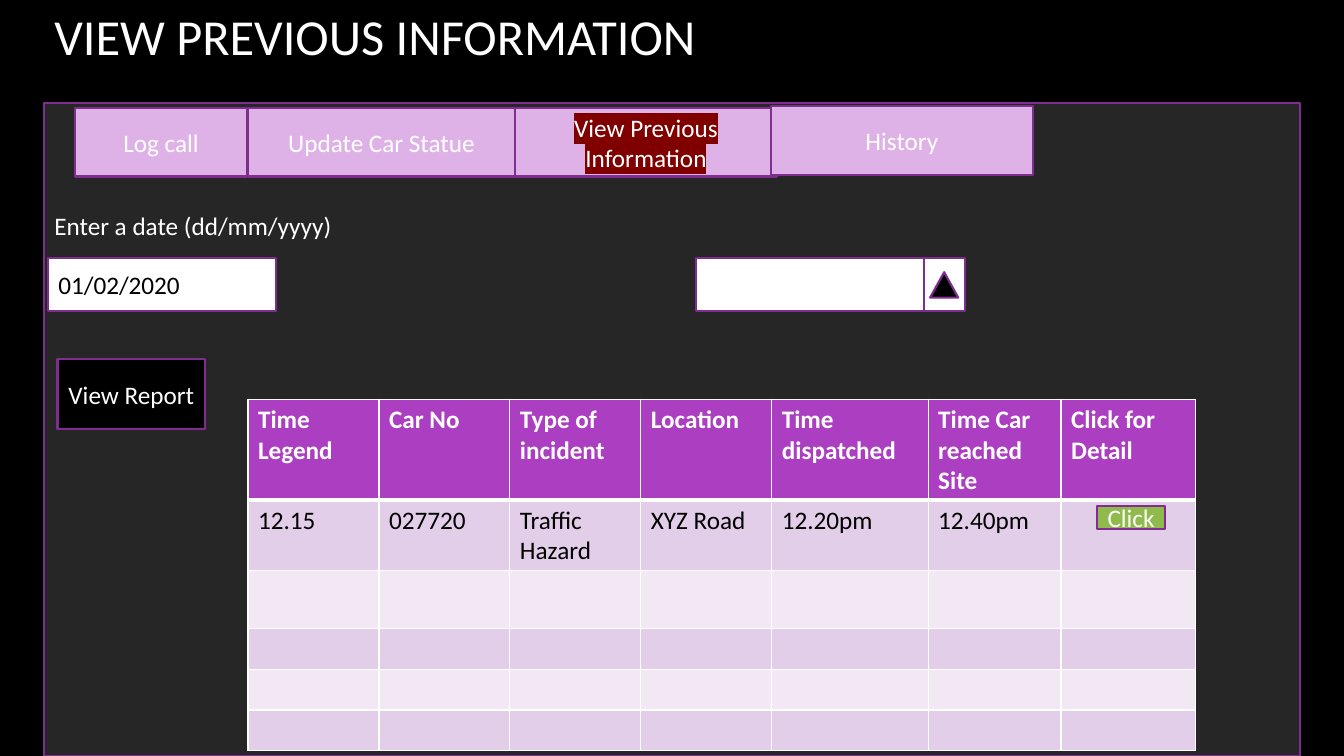
from lxml import etree
from pptx import Presentation
from pptx import util as u
from pptx.dml.color import RGBColor
from pptx.enum import shapes, text
from pptx.oxml.ns import qn

COLORS = {
    "background": "000000",
    "panel": "262626",
    "outline": "7F2E8F",
    "tab": "DEB2E6",
    "highlight": "800000",
    "header": "AC3EC1",
    "dark_band": "E3CEE9",
    "light_band": "F1E8F4",
    "click": "90BA4C",
    "white": "FFFFFF",
    "black": "000000",
}
RECTANGLE = shapes.MSO_SHAPE.RECTANGLE
PROCESS = shapes.MSO_SHAPE.FLOWCHART_PROCESS
TRIANGLE = shapes.MSO_SHAPE.ISOSCELES_TRIANGLE
LEFT, CENTER = text.PP_ALIGN.LEFT, text.PP_ALIGN.CENTER


def rgb(name):
    return RGBColor.from_string(COLORS[name])


def add_solid_fill(parent, color):
    fill = etree.SubElement(parent, qn("a:solidFill"))
    etree.SubElement(fill, qn("a:srgbClr"), val=COLORS[color])


class Screen:
    """Holds the shared style and the current slide; all lengths are in cm."""

    font = "Calibri"
    size = 18
    line_width = 1.5

    def __init__(self, slide):
        self.slide = slide
        slide.background.fill.solid()
        slide.background.fill.fore_color.rgb = rgb("background")

    def set_text(self, frame, words, color="white", size=None, align=LEFT, bold=False):
        frame.word_wrap = True
        frame.text = words
        for paragraph in frame.paragraphs:
            paragraph.alignment = align
            for run in paragraph.runs:
                run.font.name = self.font
                run.font.size = u.Pt(size or self.size)
                run.font.bold = bold
                run.font.color.rgb = rgb(color)

    def label(self, box, words, size=None):
        shape = self.slide.shapes.add_textbox(*map(u.Cm, box))
        self.set_text(shape.text_frame, words, size=size)

    def box(self, box, fill, words="", kind=RECTANGLE, color="white", align=CENTER, group=None):
        parent = group or self.slide
        shape = parent.shapes.add_shape(kind, *map(u.Cm, box))
        shape.shadow.inherit = False
        shape.fill.solid()
        shape.fill.fore_color.rgb = rgb(fill)
        shape.line.color.rgb = rgb("outline")
        shape.line.width = u.Pt(self.line_width)
        if words:
            shape.text_frame.vertical_anchor = text.MSO_ANCHOR.MIDDLE
            self.set_text(shape.text_frame, words, color, align=align)
        return shape

    def highlight(self, shape, color):
        for run in shape.text_frame.paragraphs[0].runs:
            mark = etree.Element(qn("a:highlight"))
            etree.SubElement(mark, qn("a:srgbClr"), val=COLORS[color])
            run.font._element.find(qn("a:latin")).addprevious(mark)

    def dropdown(self, left, top):
        group = self.slide.shapes.add_group_shape()
        self.box((left, top, 5.74, 1.35), "white", group=group)
        self.box((left + 5.74, top, 1.02, 1.35), "white", group=group)
        self.box((left + 5.89, top + 0.36, 0.71, 0.64), "black", kind=TRIANGLE, group=group)

    def cell_borders(self, cell, top, bottom):
        properties = cell._tc.get_or_add_tcPr()
        for side, width in (("L", 1), ("R", 1), ("T", top), ("B", bottom)):
            line = etree.SubElement(properties, qn(f"a:ln{side}"), w=str(u.Pt(width)))
            add_solid_fill(line, "white")

    def table(self, left, top, widths, heights, rows):
        """Draws a header row over banded rows; missing rows stay empty."""
        frame = self.slide.shapes.add_table(
            len(heights), len(widths), u.Cm(left), u.Cm(top),
            u.Cm(sum(widths)), u.Cm(sum(heights)))
        table = frame.table
        for column, width in zip(table.columns, widths):
            column.width = u.Cm(width)
        for r, height in enumerate(heights):
            table.rows[r].height = u.Cm(height)
            header = r == 0
            band = "header" if header else "dark_band" if r % 2 else "light_band"
            for c in range(len(widths)):
                cell = table.cell(r, c)
                self.cell_borders(cell, 3 if r == 1 else 1, 3 if header else 1)
                cell.fill.solid()
                cell.fill.fore_color.rgb = rgb(band)
                if r < len(rows) and rows[r][c]:
                    self.set_text(cell.text_frame, rows[r][c],
                                  "white" if header else "black", bold=header)


def main():
    presentation = Presentation()
    presentation.slide_width = u.Cm(33.87)
    presentation.slide_height = u.Cm(19.05)
    screen = Screen(presentation.slides.add_slide(presentation.slide_layouts[6]))

    screen.box((1.12, 2.59, 31.65, 16.46), "panel", kind=PROCESS)
    screen.label((1.12, 0, 28.58, 2.36), "VIEW PREVIOUS INFORMATION", size=36)

    tabs = [
        ("Log call", (1.9, 2.72, 4.32, 1.73)),
        ("Update Car Statue", (6.25, 2.72, 6.73, 1.73)),
        ("View Previous Information", (12.98, 2.72, 6.6, 1.73)),
        ("History", (19.43, 2.67, 6.6, 1.75)),
    ]
    for name, place in tabs:
        tab = screen.box(place, "tab", name)
        if name == "View Previous Information":
            screen.highlight(tab, "highlight")

    screen.dropdown(17.55, 6.5)
    screen.label((1.12, 5.18, 8.08, 1.02), "Enter a date (dd/mm/yyyy)")
    screen.box((1.22, 6.5, 5.74, 1.35), "white", "01/02/2020", color="black", align=LEFT)
    screen.box((1.45, 9.04, 3.72, 1.78), "black", "View Report", kind=PROCESS)

    screen.table(
        6.25, 10.06,
        widths=[3.3] * 4 + [3.94, 3.35, 3.38],
        heights=[2.52, 1.78, 1.45] + [1.03] * 3,
        rows=[
            ["Time Legend", "Car No", "Type of incident", "Location",
             "Time dispatched", "Time Car reached Site", "Click for Detail"],
            ["12.15", "027720", "Traffic Hazard", "XYZ Road", "12.20pm", "12.40pm", ""],
        ])
    screen.box((27.64, 12.75, 1.73, 0.58), "click", "Click")

    presentation.save("out.pptx")


if __name__ == "__main__":
    main()
